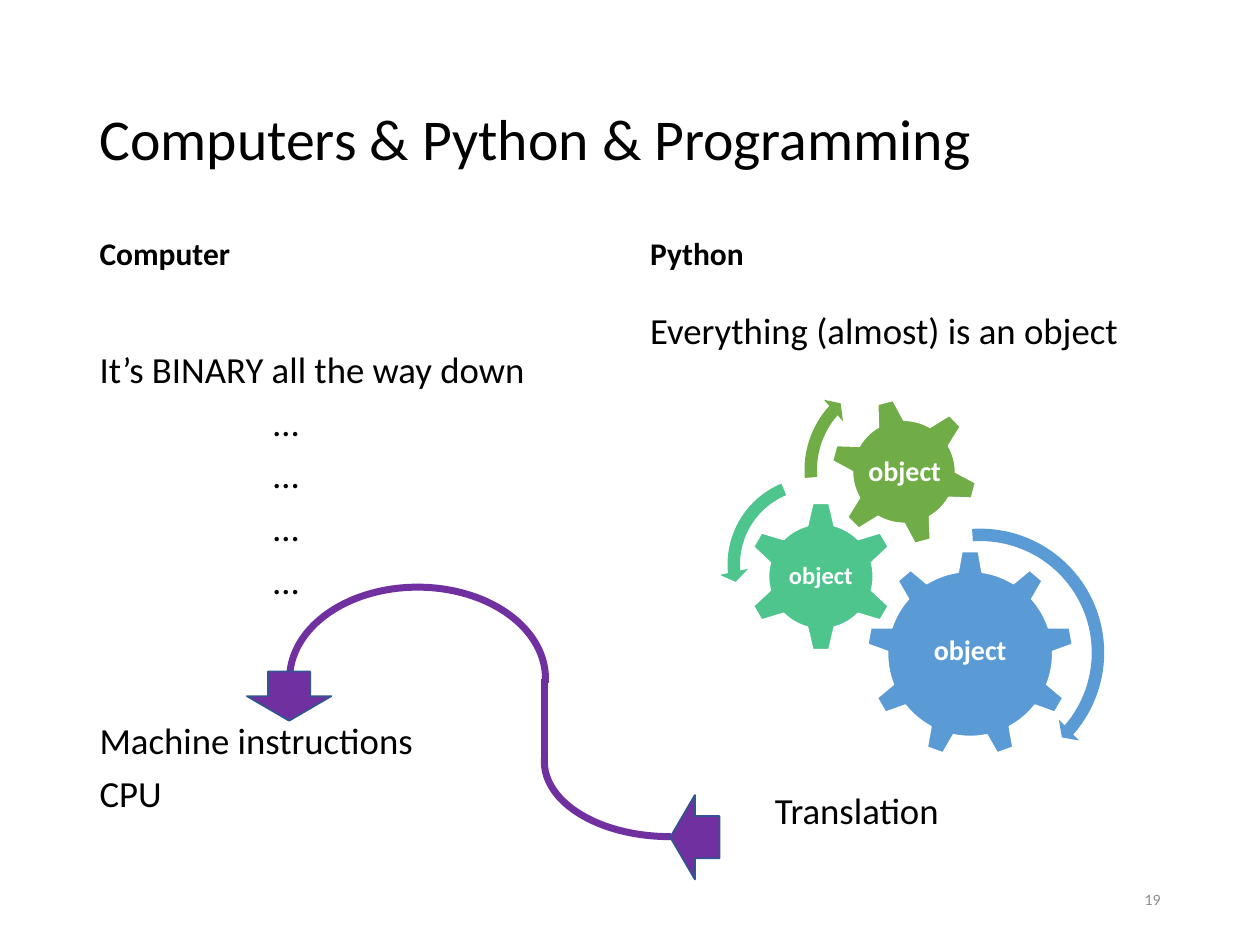
"""Build the slide that compares how a computer and Python see a program."""
from lxml import etree
from pptx import Presentation, util as u
from pptx.dml.color import RGBColor
from pptx.enum import shapes as s, text as t
from pptx.oxml.ns import qn

THEME = dict(
    font="Calibri", ink="000000", gray="8C8C8C", white="FFFFFF",
    violet="7030A0", edge="325491", blue="5B9BD5", teal="4DC58D", green="70AD47",
    title=33, head=18, body=21, note=9, lead=0.9, gap=7.5, thick=4, thin=1,
)
LINE = THEME["body"] * 1.22 * THEME["lead"] + THEME["gap"]

# Each paragraph: words, left indent, lines skipped above.
DOTS = [("…", 1.38, 0)] * 4
HOLDERS = [
    (0, (0.69, 0.4, 8.62, 1.45), "title", False, [("Computers & Python & Programming", 0, 0)]),
    (1, (0.69, 1.84, 4.23, 0.59), "head", True, [("Computer", 0, 0)]),
    (2, (0.69, 2.74, 4.23, 4.03), "body", False,
     [("It’s BINARY all the way down", 0, 0), *DOTS,
      ("Machine instructions", 0, 2), ("CPU", 0, 0)]),
    (3, (5.06, 1.84, 4.25, 0.59), "head", True, [("Python", 0, 0)]),
    (4, (5.06, 2.43, 4.25, 4.34), "body", False,
     [("Everything (almost) is an object", 0, 0), ("Translation", 0.99, 8)]),
]
ARCS = [
    ((4.32, 5.45, 1.99, 1.19), (53.41, 109.156)),
    ((2.3, 4.66, 2.03, 1.45), (103.897, 1.175)),
]
STEM = (4.32, 5.39, 4.32, 6.05)
HEADS = [((5.18, 6.45, 0.67, 0.39), 90), ((1.96, 5.33, 0.67, 0.39), 0)]
KIND = s.MSO_SHAPE
GEARS = [
    (KIND.GEAR_9, (6.88, 4.37, 1.64, 1.64), 0, "blue", (7.21, 4.75, 0.98, 0.84), 16),
    (KIND.GEAR_6, (5.92, 3.98, 1.19, 1.19), 0, "teal", (6.22, 4.28, 0.59, 0.59), 14),
    (KIND.GEAR_6, (6.59, 3.16, 1.17, 1.17), 345, "green", (6.85, 3.42, 0.66, 0.66), 16),
]
TURNS = [
    (KIND.CIRCULAR_ARROW, (6.73, 4.13, 2.1, 2.1), "blue",
     (0.047, 2.99, 24.663, 159.733, 0.055)),
    (KIND.LEFT_CIRCULAR_ARROW, (5.71, 3.72, 1.52, 1.52), "teal",
     (0.065, 4.3, 104.891, 148.378, 0.075)),
    (KIND.CIRCULAR_ARROW, (6.32, 2.91, 1.64, 1.64), "green",
     (0.06, 3.941, 133.138, 105.082, 0.07)),
]


def inch(box):
    return [u.Inches(v) for v in box]


def tint(name):
    return RGBColor.from_string(THEME[name])


def write(par, words, size, ink="ink", bold=False):
    run = par.add_run()
    run.text = words
    font = run.font
    font.name, font.size, font.bold = THEME["font"], u.Pt(size), bold
    font.color.rgb = tint(ink)


def fill_holder(slide, idx, box, size, bold, pars):
    item = slide.placeholders[idx]
    item.left, item.top, item.width, item.height = inch(box)
    frame = item.text_frame
    frame.auto_size = t.MSO_AUTO_SIZE.NONE
    frame.vertical_anchor = t.MSO_ANCHOR.TOP if idx else t.MSO_ANCHOR.MIDDLE
    for i, (words, left, skip) in enumerate(pars):
        par = frame.add_paragraph() if i else frame.paragraphs[0]
        par.alignment = t.PP_ALIGN.LEFT
        par.line_spacing = THEME["lead"]
        par.space_before = u.Pt(THEME["gap"] + skip * LINE if idx else 0)
        props = par._p.get_or_add_pPr()
        props.set("marL", str(u.Inches(left)))
        props.set("indent", "0")
        etree.SubElement(props, qn("a:buNone"))
        write(par, words, THEME[size], bold=bold)


def label(slide, box, words, size, ink, bold, align, inset):
    frame = slide.shapes.add_textbox(*inch(box)).text_frame
    frame.word_wrap = True
    frame.vertical_anchor = t.MSO_ANCHOR.MIDDLE
    frame.margin_left = frame.margin_right = u.Inches(inset)
    frame.margin_top = frame.margin_bottom = u.Inches(min(inset, 0.05))
    par = frame.paragraphs[0]
    par.alignment, par.line_spacing = align, THEME["lead"]
    write(par, words, size, ink, bold)


def shape(slide, kind, box, fill=None, line=None, width="thin", turn=0, adj=()):
    item = slide.shapes.add_shape(kind, *inch(box))
    item.shadow.inherit = False
    item.rotation = turn
    for i, value in enumerate(adj):
        item.adjustments[i] = value
    if fill:
        item.fill.solid()
        item.fill.fore_color.rgb = tint(fill)
    else:
        item.fill.background()
    if line:
        item.line.color.rgb = tint(line)
        item.line.width = u.Pt(THEME[width])
    else:
        item.line.fill.background()


def main():
    deck = Presentation()
    deck.slide_width, deck.slide_height = inch((10, 7.5))
    slide = deck.slides.add_slide(deck.slide_layouts.get_by_name("Comparison"))
    for row in HOLDERS:
        fill_holder(slide, *row)
    label(slide, (7.06, 6.95, 2.25, 0.4), "19", THEME["note"], "gray", False,
          t.PP_ALIGN.RIGHT, 0.1)

    for box, adj in ARCS:
        shape(slide, KIND.ARC, box, line="violet", width="thick", adj=adj)
    stem = slide.shapes.add_connector(s.MSO_CONNECTOR.STRAIGHT, *inch(STEM))
    stem.line.color.rgb = tint("violet")
    stem.line.width = u.Pt(THEME["thick"])
    etree.SubElement(stem._element.spPr, qn("a:effectLst"))
    for box, turn in HEADS:
        shape(slide, KIND.DOWN_ARROW, box, "violet", "edge", turn=turn)

    for kind, box, turn, hue, spot, size in GEARS:
        shape(slide, kind, box, hue, "white", turn=turn)
        label(slide, spot, "object", size, "white", True, t.PP_ALIGN.CENTER, 0.02)
    for kind, box, hue, adj in TURNS:
        shape(slide, kind, box, hue, adj=adj)
    deck.save("out.pptx")


if __name__ == "__main__":
    main()
